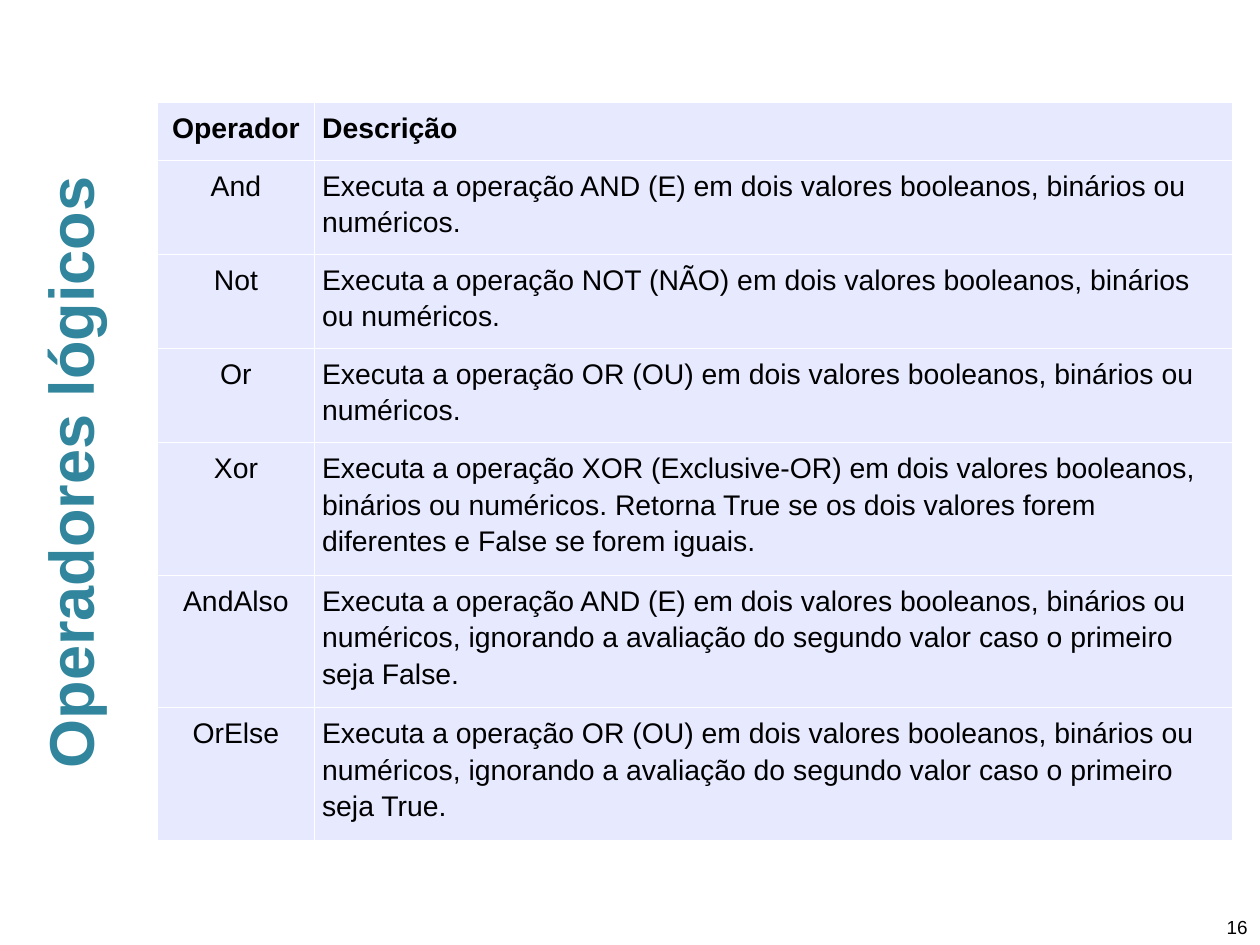
from lxml.etree import SubElement
from pptx import Presentation
from pptx.dml.color import RGBColor
from pptx.enum.text import MSO_ANCHOR, PP_ALIGN
from pptx.oxml.ns import qn
from pptx.util import Inches, Pt

ROWS = [
    ("Operador", "Descrição"),
    ("And", "Executa a operação AND (E) em dois valores booleanos, binários ou numéricos."),
    ("Not", "Executa a operação NOT (NÃO) em dois valores booleanos, binários ou numéricos."),
    ("Or", "Executa a operação OR (OU) em dois valores booleanos, binários ou numéricos."),
    ("Xor", "Executa a operação XOR (Exclusive-OR) em dois valores booleanos, binários ou "
            "numéricos. Retorna True se os dois valores forem diferentes e False se forem iguais."),
    ("AndAlso", "Executa a operação AND (E) em dois valores booleanos, binários ou numéricos, "
                "ignorando a avaliação do segundo valor caso o primeiro seja False."),
    ("OrElse", "Executa a operação OR (OU) em dois valores booleanos, binários ou numéricos, "
               "ignorando a avaliação do segundo valor caso o primeiro seja True."),
]
COL_WIDTHS = [1.38, 8.1]
ROW_HEIGHTS = [0.51] + [0.83] * 3 + [1.17] * 3
COL_ALIGNS = [PP_ALIGN.CENTER, PP_ALIGN.LEFT]


def rgb(value):
    return RGBColor.from_string(value)


def set_attrs(target, values):
    for name, value in values.items():
        setattr(target, name, value)


class SlideBuilder:
    font = "Arial"
    text_color = "000000"
    title_color = "31859C"
    cell_fill = "E7EAFF"
    border_color = "FFFFFF"
    border_width = Pt(0.45)
    margins = {"margin_left": Inches(0.07), "margin_right": Inches(0.07),
               "margin_top": Inches(0.05), "margin_bottom": Inches(0.05)}

    def __init__(self, prs):
        self.slide = prs.slides.add_slide(prs.slide_layouts[6])

    def paragraph(self, tf, text, size, color, bold=False, **paragraph_format):
        p = tf.paragraphs[0]
        set_attrs(p, paragraph_format)
        r = p.add_run()
        r.text = text
        set_attrs(r.font, {"name": self.font, "size": Pt(size), "bold": bold})
        r.font.color.rgb = rgb(color)

    def text(self, box, text, size, color, align, bold=False, rotation=0):
        sp = self.slide.shapes.add_textbox(*map(Inches, box))
        sp.rotation = rotation
        tf = sp.text_frame
        set_attrs(tf, {"word_wrap": True, "vertical_anchor": MSO_ANCHOR.MIDDLE})
        self.paragraph(tf, text, size, color, bold, alignment=align)

    def borders(self, cell):
        tc_pr = cell._tc.get_or_add_tcPr()
        for i, side in enumerate(("lnL", "lnR", "lnT", "lnB")):
            ln = SubElement(tc_pr, qn(f"a:{side}"), w=str(self.border_width))
            fill = SubElement(ln, qn("a:solidFill"))
            SubElement(fill, qn("a:srgbClr"), val=self.border_color)
            tc_pr.insert(i, ln)

    def table(self, left, top, rows, widths, heights, aligns, size):
        box = (left, top, sum(widths), sum(heights))
        table = self.slide.shapes.add_table(len(rows), len(widths), *map(Inches, box)).table
        for column, width in zip(table.columns, widths):
            column.width = Inches(width)
        for row, height in zip(table.rows, heights):
            row.height = Inches(height)
        for i, texts in enumerate(rows):
            for j, text in enumerate(texts):
                cell = table.cell(i, j)
                set_attrs(cell, self.margins)
                cell.fill.solid()
                cell.fill.fore_color.rgb = rgb(self.cell_fill)
                self.borders(cell)
                self.paragraph(cell.text_frame, text, size, self.text_color, i == 0,
                               alignment=aligns[j], line_spacing=1.15)


def main():
    prs = Presentation()
    set_attrs(prs, {"slide_width": Inches(11.11), "slide_height": Inches(8.33)})
    s = SlideBuilder(prs)
    s.text((-3.56, 3.56, 8.33, 1.21), "Operadores lógicos", 40, s.title_color,
           PP_ALIGN.CENTER, bold=True, rotation=270)
    s.text((10.56, 8.02, 0.54, 0.31), "16", 12, s.text_color, PP_ALIGN.RIGHT)
    s.table(1.39, 0.9, ROWS, COL_WIDTHS, ROW_HEIGHTS, COL_ALIGNS, 18)
    prs.save("out.pptx")


if __name__ == "__main__":
    main()
